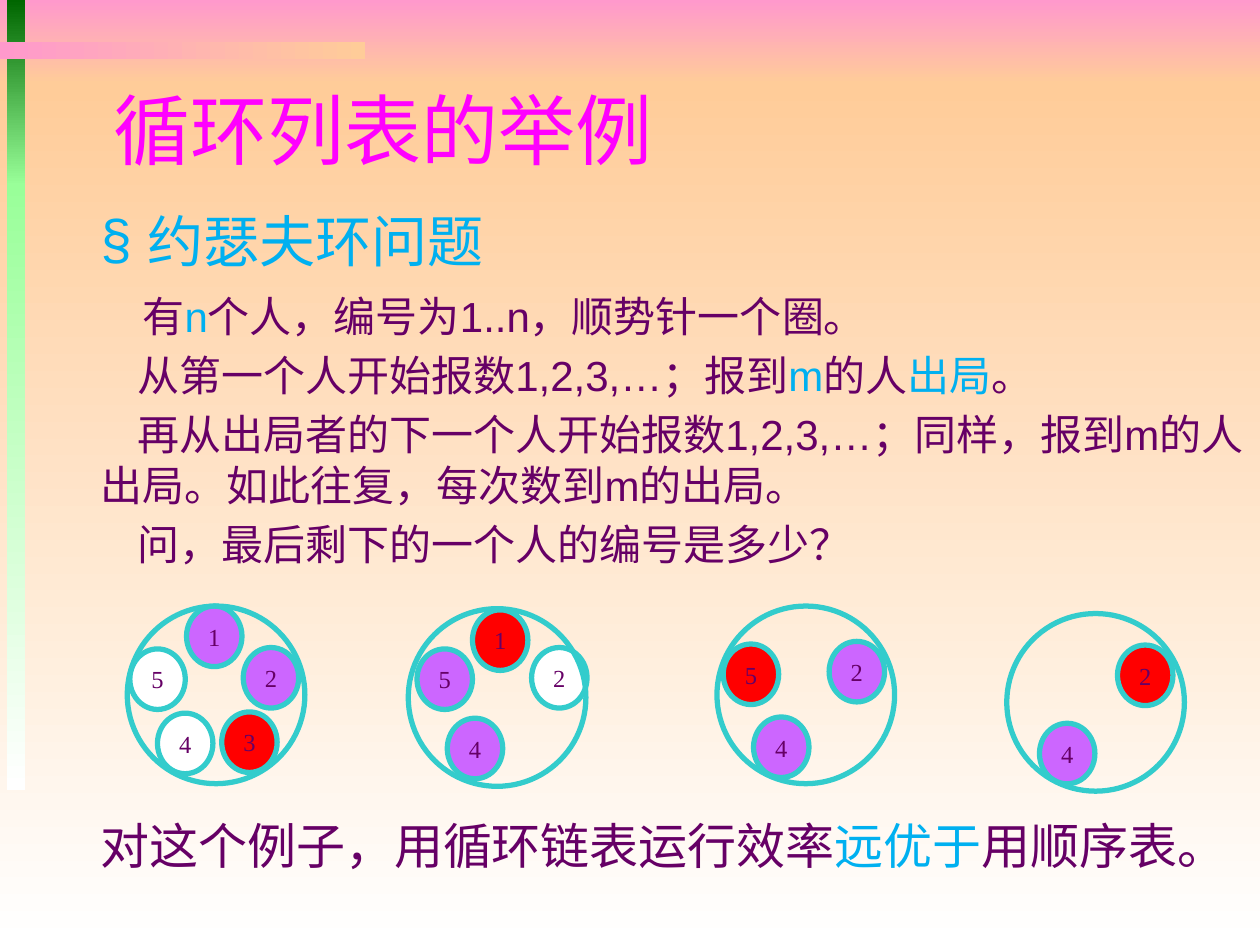
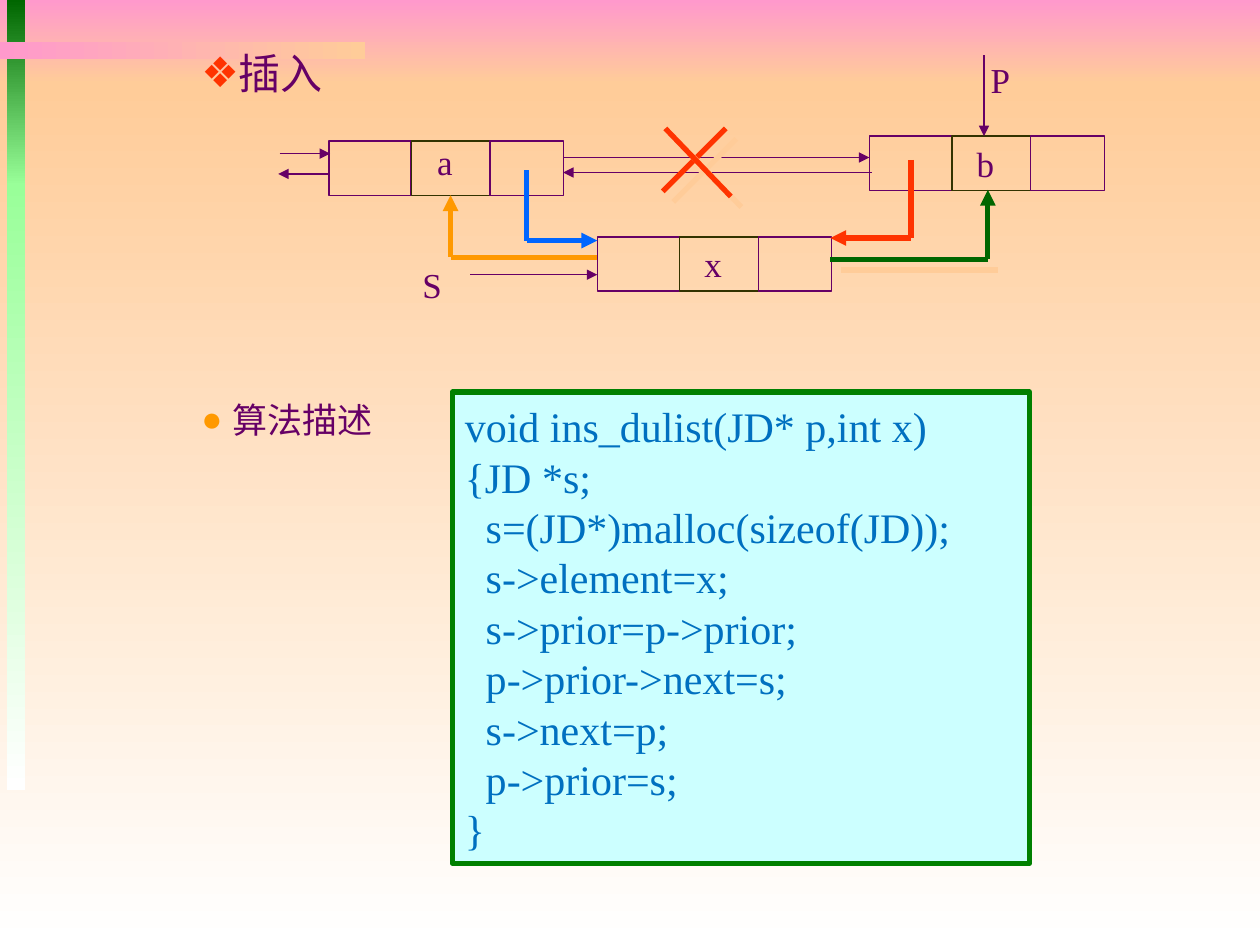
import itertools
from dataclasses import dataclass

import lxml.etree
import pptx
import pptx.dml.color
import pptx.enum.shapes
import pptx.enum.text
import pptx.oxml
import pptx.oxml.ns
import pptx.util

Pt = pptx.util.Pt
RGB = pptx.dml.color.RGBColor.from_string
KIND = pptx.enum.shapes.MSO_SHAPE
ANCHOR = pptx.enum.text.MSO_ANCHOR
ALIGN = pptx.enum.text.PP_ALIGN
qn = pptx.oxml.ns.qn


@dataclass(frozen=True)
class Theme:
    pink: str = "FF99CC"
    peach: str = "FFCC99"
    white: str = "FFFFFF"
    forest: str = "006600"
    mint: str = "99FF99"
    magenta: str = "FF00FF"
    sky: str = "00B0F0"
    plum: str = "660066"
    olive: str = "333300"
    teal: str = "33CCCC"
    violet: str = "CC66FF"
    red: str = "FF0000"
    orange: str = "FF9900"
    vermilion: str = "FF3300"
    blue: str = "0066FF"
    code_text: str = "0070C0"
    code_fill: str = "CCFFFF"
    code_edge: str = "008000"
    title_font: str = "Roboto Condensed"
    sans: str = "Arial"
    serif: str = "Times New Roman"
    title_size: int = 44
    heading_size: int = 32
    closing_size: int = 28
    body_size: int = 24
    label_size: int = 20
    person_size: int = 14
    thick: float = 3
    thin: float = 0.75


theme = Theme()


def write(box, lines, font, size, color, bullet=None, hang=18):
    frame = box.text_frame
    for index, line in enumerate(lines):
        para = frame.paragraphs[0] if index == 0 else frame.add_paragraph()
        para.font.name, para.font.size = font, Pt(size)
        para.font.color.rgb = RGB(color)
        for text, tint in line:
            span = para.add_run()
            span.text = text
            if tint:
                span.font.color.rgb = RGB(tint)
    if bullet:
        mark, mark_color = bullet
        settings = frame.paragraphs[0]._p.get_or_add_pPr()
        settings.set("marL", str(Pt(hang)))
        settings.set("indent", str(-Pt(hang)))
        defaults = settings.find(qn("a:defRPr"))
        tint = lxml.etree.Element(qn("a:buClr"))
        lxml.etree.SubElement(tint, qn("a:srgbClr"), val=mark_color)
        defaults.addprevious(tint)
        defaults.addprevious(lxml.etree.Element(qn("a:buFont"), typeface=theme.sans))
        defaults.addprevious(lxml.etree.Element(qn("a:buChar"), char=mark))
    return frame


def add_line(page, start, end, color, weight, arrow=False, shadow=False):
    line = page.shapes.add_connector(
        pptx.enum.shapes.MSO_CONNECTOR.STRAIGHT, *map(Pt, start + end))
    line.line.color.rgb = RGB(color)
    line.line.width = Pt(weight)
    if arrow:
        lxml.etree.SubElement(line.line._get_or_add_ln(), qn("a:tailEnd"), type="triangle")
    effects = lxml.etree.SubElement(line._element.spPr, qn("a:effectLst"))
    if shadow:
        cast = lxml.etree.SubElement(
            effects, qn("a:outerShdw"), dist=str(Pt(8.5)), dir="2700000", algn="ctr", rotWithShape="0")
        lxml.etree.SubElement(cast, qn("a:srgbClr"), val=theme.peach)
    return line


deck = pptx.Presentation()
deck.slide_width, deck.slide_height = Pt(720), Pt(540)
ring_page, insert_page = [deck.slides.add_slide(deck.slide_layouts[6]) for _ in range(2)]

bands = [
    (0, 0, 720, 48, theme.pink, theme.peach, 270),
    (0, 48, 720, 492, theme.peach, theme.white, 270),
    (4, 0, 10.4, 106, theme.forest, theme.mint, 270),
    (4, 105, 10.4, 346.5, theme.mint, theme.white, 270),
    (0, 24, 208.5, 10, theme.pink, theme.peach, 0),
]
for page, (left, top, width, height, first, last, angle) in itertools.product(
        (ring_page, insert_page), bands):
    band = page.shapes.add_shape(KIND.RECTANGLE, Pt(left), Pt(top), Pt(width), Pt(height))
    band.shadow.inherit = False
    band.line.fill.background()
    band.fill.gradient()
    band.fill.gradient_angle = angle
    for stop, color in zip(band.fill.gradient_stops, (first, last)):
        stop.color.rgb = RGB(color)

title = ring_page.shapes.add_textbox(Pt(57.6), Pt(41), Pt(612), Pt(65))
title_frame = write(title, [[("循环列表的举例", None)]], theme.title_font, theme.title_size, theme.magenta)
title_frame.vertical_anchor = ANCHOR.MIDDLE
title_frame.word_wrap = True

problem = ring_page.shapes.add_textbox(Pt(50.4), Pt(114.5), Pt(669.6), Pt(220))
problem_lines = [
    [("约瑟夫环问题", theme.sky)],
    [("有", None), ("n", theme.sky), ("个人，编号为1..n，顺势针一个圈。", None)],
    [("从第一个人开始报数1,2,3,…；报到", None), ("m", theme.sky), ("的人", None),
     ("出局", theme.sky), ("。", None)],
    [("再从出局者的下一个人开始报数1,2,3,…；同样，报到m的人出局。如此往复，每次数到m的出局。", None)],
    [("问，最后剩下的一个人的编号是多少？", None)],
]
problem_frame = write(problem, problem_lines, theme.sans, theme.body_size, theme.plum,
                      ("§", theme.sky), 27)
problem_frame.word_wrap = True
problem_frame.margin_right = 0
heading, opening, *rest = problem_frame.paragraphs
heading.font.size = Pt(theme.heading_size)
for para, indent, gap in [(opening, 24, 9.5)] + [(para, 21, 5) for para in rest]:
    para._p.get_or_add_pPr().set("indent", str(Pt(indent)))
    para.space_before = Pt(gap)

closing = ring_page.shapes.add_textbox(Pt(50.4), Pt(462.5), Pt(669.6), Pt(42))
closing_line = [("对这个例子，用循环链表运行效率", None), ("远优于", theme.sky), ("用顺序表。", None)]
write(closing, [closing_line], theme.sans, theme.closing_size, theme.plum).word_wrap = True

waiting, counted, out = theme.white, theme.violet, theme.red
rounds = [
    (72.7, 346.3, [("1", 106.6, 346.3, counted), ("2", 139, 370, counted), ("3", 126.7, 406.8, out),
                   ("4", 90, 407.5, waiting), ("5", 74.2, 370.8, waiting)]),
    (233.3, 347.8, [("1", 270, 348.5, out), ("2", 303.8, 370, waiting),
                    ("4", 255.6, 410.4, counted), ("5", 238.3, 370.8, counted)]),
    (409.7, 346.3, [("2", 473.8, 366.5, counted), ("4", 430.6, 409.7, counted),
                    ("5", 413.3, 368, out)]),
    (575.3, 350.6, [("2", 638.6, 368.6, out), ("4", 594, 413.3, counted)]),
]
for ring_left, ring_top, people in rounds:
    circles = [(left, top, 31.7, 34.6, fill, number) for number, left, top, fill in people]
    circles.append((ring_left, ring_top, 101.5, 101.5, None, None))
    for left, top, width, height, fill, number in circles:
        circle = ring_page.shapes.add_shape(KIND.OVAL, Pt(left), Pt(top), Pt(width), Pt(height))
        circle.shadow.inherit = False
        circle.line.color.rgb = RGB(theme.teal)
        circle.line.width = Pt(theme.thick)
        if number is None:
            circle.fill.background()
            continue
        circle.fill.solid()
        circle.fill.fore_color.rgb = RGB(fill)
        frame = write(circle, [[(number, None)]], theme.serif, theme.person_size, theme.plum)
        frame.word_wrap = False
        frame.margin_left = frame.margin_right = 0
        frame.paragraphs[0].alignment = ALIGN.CENTER

code = insert_page.shapes.add_shape(KIND.RECTANGLE, Pt(258.5), Pt(224), Pt(329.8), Pt(269.3))
code.shadow.inherit = False
code.fill.solid()
code.fill.fore_color.rgb = RGB(theme.code_fill)
code.line.color.rgb = RGB(theme.code_edge)
code.line.width = Pt(theme.thick)
statements = ["s=(JD*)malloc(sizeof(JD));", "s->element=x;", "s->prior=p->prior;",
              "p->prior->next=s;", "s->next=p;", "p->prior=s;"]
code_lines = ["void ins_dulist(JD* p,int x)", "{JD *s;", *statements, "}"]
code_frame = write(code, [[(text, None)] for text in code_lines],
                   theme.serif, theme.body_size, theme.code_text)
for text, para in zip(code_lines, code_frame.paragraphs):
    para.alignment = ALIGN.LEFT
    para.line_spacing = Pt(28.8)
    if text in statements:
        para._p.get_or_add_pPr().set("marL", str(Pt(12)))

for text, top, size, bullet in [
    ("算法描述", 224, theme.label_size, ("●", theme.orange)),
    ("插入", 23.8, theme.body_size, ("❖", theme.vermilion)),
]:
    topic = insert_page.shapes.add_textbox(Pt(108), Pt(top), Pt(150), Pt(34.6))
    write(topic, [[(text, None)]], theme.sans, size, theme.plum, bullet).word_wrap = True

nodes = {"x": (341.3, 135.4), "a": (188, 80.6), "b": (497, 77.8)}
cells = [(0, 47, theme.plum), (47, 45, theme.olive), (92, 42, theme.plum)]
middle_cells = {}
for name, (left, top) in nodes.items():
    for offset, width, color in cells:
        cell = insert_page.shapes.add_shape(
            KIND.RECTANGLE, Pt(left + offset), Pt(top), Pt(width), Pt(31))
        cell.shadow.inherit = False
        cell.fill.background()
        cell.line.color.rgb = RGB(color)
        cell.line.width = Pt(theme.thin)
        if offset == 47:
            middle_cells[name] = cell

for text, center, middle in [("x", 407.5, 150.8), ("a", 254.2, 92.5), ("b", 563, 93.2),
                             ("S", 247, 162.4), ("P", 571.7, 45.7)]:
    label = insert_page.shapes.add_textbox(Pt(center - 13), Pt(middle - 15.5), Pt(26), Pt(31))
    frame = write(label, [[(text, None)]], theme.serif, theme.label_size, theme.plum)
    frame.word_wrap = False
    frame.vertical_anchor = ANCHOR.MIDDLE
    frame.paragraphs[0].alignment = ALIGN.CENTER

for start, end in [
    ((268.6, 157), (341.3, 157)),
    ((159.8, 87.8), (188.6, 87.8)),
    ((188, 99.4), (159, 99.4)),
    ((321.8, 90), (496.8, 90)),
    ((498.2, 98.6), (321.8, 98.6)),
    ((562.3, 31.7), (562.3, 77.8)),
]:
    add_line(insert_page, start, end, theme.plum, theme.thin, arrow=True)

for color, start, corner, end, shadow in [
    (theme.blue, (301, 97.2), (301, 137.5), (341.3, 137.5), False),
    (theme.orange, (341.3, 147), (257.5, 147), (257.5, 111.6), False),
    (theme.forest, (474.5, 148.3), (564.5, 148.3), (564.5, 108.5), True),
    (theme.vermilion, (520.5, 91.4), (520.5, 136), (474.5, 136), False),
]:
    add_line(insert_page, start, corner, color, theme.thick, shadow=shadow)
    pointer = add_line(insert_page, corner, end, color, theme.thick, arrow=True)
    if color == theme.orange:
        pointer.end_connect(middle_cells["a"], 2)

for start, end in [((414.7, 73.4), (378.7, 109.4)), ((380.2, 73.4), (417.6, 112.3))]:
    add_line(insert_page, start, end, theme.vermilion, theme.thick, shadow=True)

deck.save("out.pptx")
